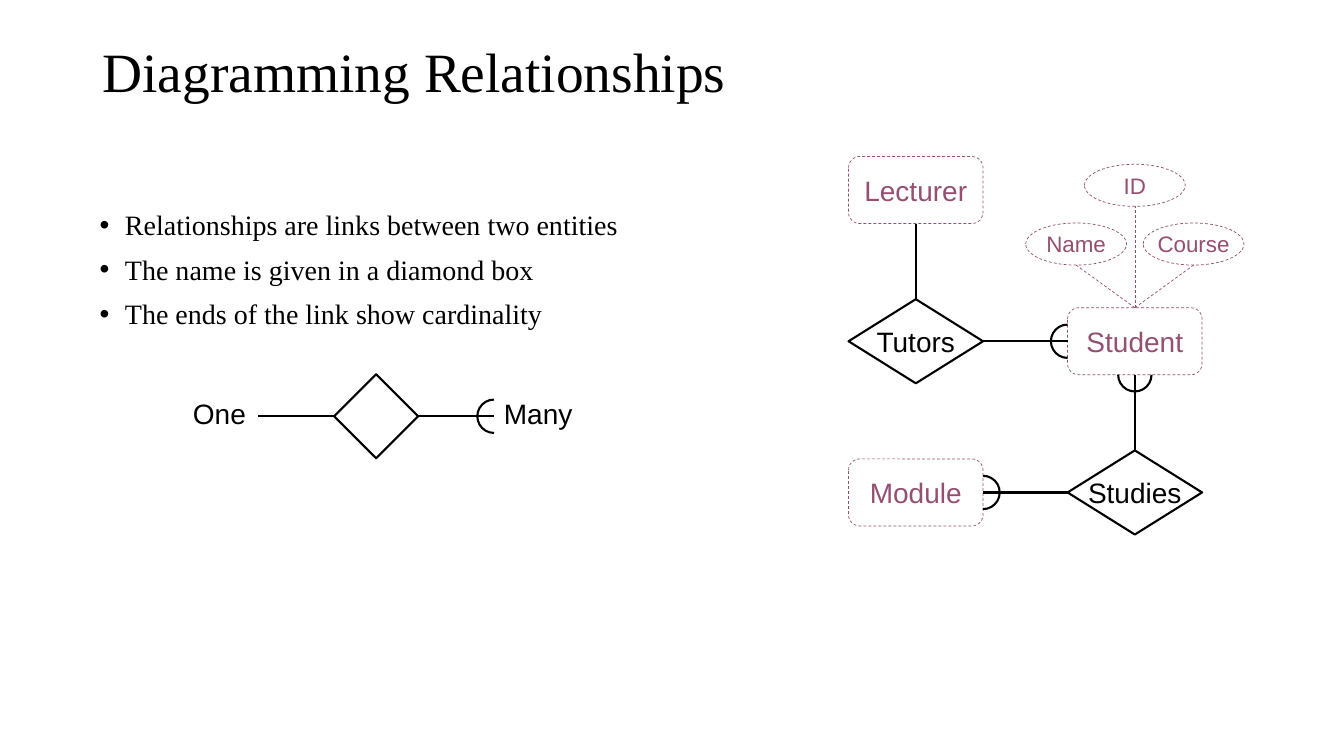
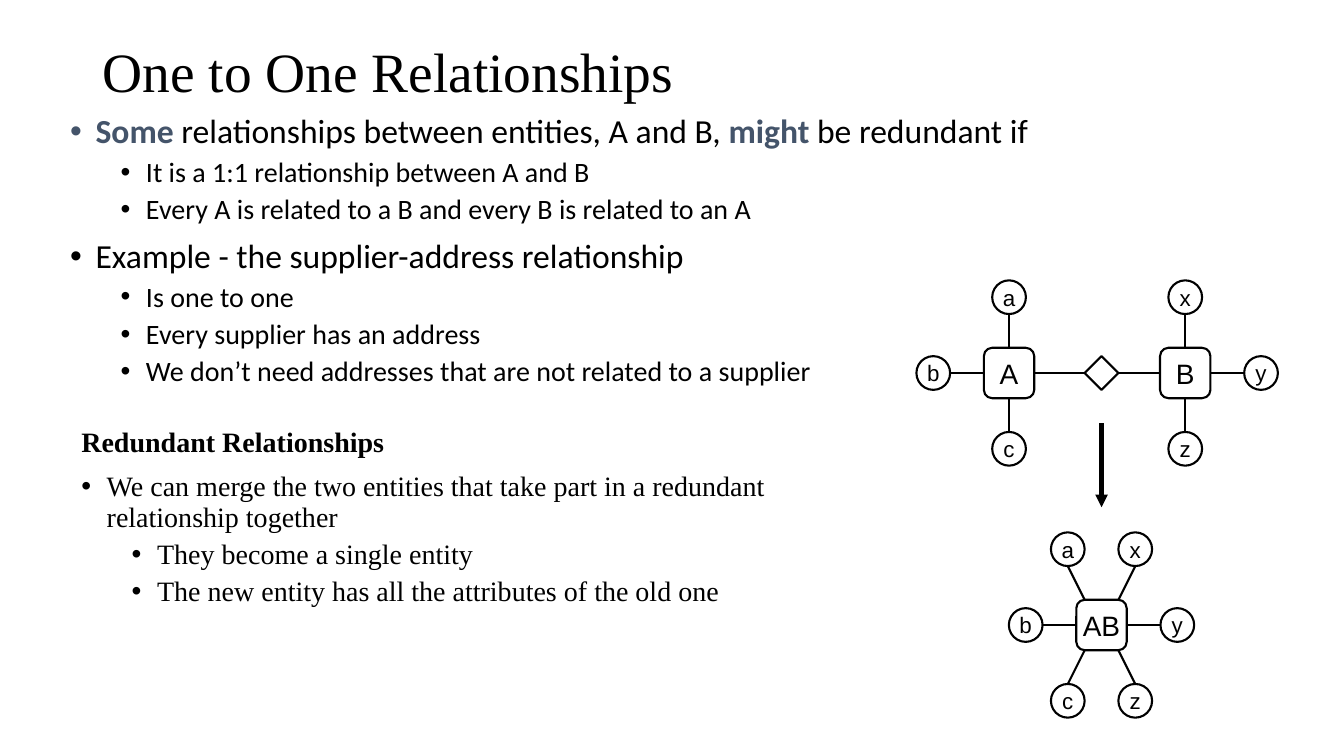
from collections import namedtuple

from lxml.etree import SubElement
from pptx import Presentation
from pptx.dml.color import RGBColor
from pptx.enum.dml import MSO_LINE
from pptx.enum.shapes import MSO_CONNECTOR, MSO_SHAPE
from pptx.enum.text import MSO_ANCHOR, MSO_AUTO_SIZE, PP_ALIGN
from pptx.oxml.ns import qn
from pptx.util import Cm, Pt

BLACK = RGBColor(0x00, 0x00, 0x00)
PLUM = RGBColor(0x95, 0x4F, 0x72)
SLATE = RGBColor(0x44, 0x54, 0x6A)

SERIF, SANS, DIAGRAM = "Times New Roman", "Calibri", "Arial"

Pen = namedtuple("Pen", "color width dash")
SOLID = Pen(BLACK, 1.5, None)
FAINT = Pen(PLUM, 0.5, MSO_LINE.DASH)
HEAVY = Pen(BLACK, 3, None)

# Start and end of each half circle, in units of 100000/60000 degree
HALF_CIRCLES = {"left": (54, 162), "right": (162, 54), "bottom": (0, 108)}
CROW_RADIUS = 0.42


class Deck:
    """Holds the style and the slide being drawn; lengths are in cm."""

    def __init__(self):
        self.prs = Presentation()
        self.prs.slide_width, self.prs.slide_height = Cm(33.87), Cm(19.05)
        self.shapes = None

    def start_slide(self, heading):
        slide = self.prs.slides.add_slide(self.prs.slide_layouts[5])
        self.shapes = slide.shapes
        title = self.shapes.title
        title.left, title.top = Cm(2.33), Cm(1.02)
        title.width, title.height = Cm(29.21), Cm(1.74)
        frame = title.text_frame
        frame.text = heading
        frame.auto_size = MSO_AUTO_SIZE.NONE
        frame.vertical_anchor = MSO_ANCHOR.MIDDLE
        paragraph = frame.paragraphs[0]
        paragraph.alignment = PP_ALIGN.LEFT
        paragraph.line_spacing = 0.9
        self.style(paragraph.runs[0], SERIF, 39.6)

    @staticmethod
    def style(run, font, size, color=BLACK, bold=False):
        run.font.name, run.font.size = font, Pt(size)
        run.font.color.rgb, run.font.bold = color, bold

    @staticmethod
    def apply_pen(line, pen):
        line.color.rgb, line.width = pen.color, Pt(pen.width)
        if pen.dash:
            line.dash_style = pen.dash

    def text(self, left, top, width, height, items, font, sizes):
        """Items are (level, text); level None has no bullet, *...* is emphasis."""
        frame = self.shapes.add_textbox(
            Cm(left), Cm(top), Cm(width), Cm(height)).text_frame
        frame.word_wrap = True
        for index, (level, content) in enumerate(items):
            paragraph = frame.paragraphs[0] if index == 0 else frame.add_paragraph()
            depth = level or 0
            if level is not None:
                self.bullet(paragraph, depth)
            paragraph.line_spacing = 0.9
            paragraph.space_before = Pt((10, 5)[depth] if index else 0)
            for position, piece in enumerate(content.split("*")):
                if piece:
                    run = paragraph.add_run()
                    run.text = piece
                    strong = position % 2 == 1
                    self.style(run, font, sizes[depth],
                               SLATE if strong else BLACK, strong or level is None)

    @staticmethod
    def bullet(paragraph, level):
        paragraph.level = level
        props = paragraph._p.get_or_add_pPr()
        props.set("marL", str(Cm(0.64 + 1.27 * level)))
        props.set("indent", str(Cm(-0.64)))
        SubElement(props, qn("a:buFont")).set("typeface", "Arial")
        SubElement(props, qn("a:buChar")).set("char", "•")

    def label(self, left, top, width, content, align):
        frame = self.shapes.add_textbox(
            Cm(left), Cm(top), Cm(width), Cm(1.09)).text_frame
        frame.text = content
        frame.word_wrap = False
        frame.paragraphs[0].alignment = align
        self.style(frame.paragraphs[0].runs[0], DIAGRAM, 20)

    def node(self, kind, x, y, width, height, content="", size=20, pen=SOLID):
        """Outlined shape centred on x, y."""
        shape = self.shapes.add_shape(
            kind, Cm(x - width / 2), Cm(y - height / 2), Cm(width), Cm(height))
        shape.shadow.inherit = False
        shape.fill.background()
        self.apply_pen(shape.line, pen)
        if content:
            frame = shape.text_frame
            frame.text = content
            frame.word_wrap = False
            frame.vertical_anchor = MSO_ANCHOR.MIDDLE
            frame.paragraphs[0].alignment = PP_ALIGN.CENTER
            self.style(frame.paragraphs[0].runs[0], DIAGRAM, size, pen.color)
        return shape

    def crow_end(self, x, y, side):
        """Half circle that marks the 'many' end of a link."""
        arc = self.node(MSO_SHAPE.ARC, x, y, 2 * CROW_RADIUS, 2 * CROW_RADIUS)
        arc.adjustments[0], arc.adjustments[1] = HALF_CIRCLES[side]

    def link(self, start, end, pen=SOLID, arrow=False):
        connector = self.shapes.add_connector(
            MSO_CONNECTOR.STRAIGHT, *(Cm(value) for value in (*start, *end)))
        self.apply_pen(connector.line, pen)
        props = connector._element.spPr
        if arrow:
            SubElement(props.find(qn("a:ln")), qn("a:tailEnd")).set("type", "triangle")
        SubElement(props, qn("a:effectLst"))

    def entity_with_attributes(self, x, y, name, attributes):
        """Square entity with round attributes at the given offsets."""
        half, radius = 0.635, 0.425
        self.node(MSO_SHAPE.ROUNDED_RECTANGLE, x, y, 2 * half, 2 * half, name)
        for letter, (dx, dy) in attributes.items():
            self.node(MSO_SHAPE.OVAL, x + dx, y + dy, 2 * radius, 2 * radius, letter, 16)
            if dy == 0:
                side = 1 if dx > 0 else -1
                self.link((x + dx - side * radius, y), (x + side * half, y))
            else:
                side = 1 if dy > 0 else -1
                self.link((x + dx, y + dy - side * radius), (x + dx / 2, y + side * half))


def diagramming_slide(deck):
    deck.start_slide("Diagramming Relationships")
    deck.text(2.26, 5.21, 15.34, 7.19, [
        (0, "Relationships are links between two entities"),
        (0, "The name is given in a diamond box"),
        (0, "The ends of the link show cardinality"),
    ], SERIF, (20, 20))

    # Entities and relationships on a grid of two columns and three rows
    left, right = 23.08, 28.6
    top, middle, bottom = (4.79 + 3.81 * row for row in range(3))
    width, entity_height, diamond_height = 3.39, 1.69, 2.12
    for name, x, y in (("Student", right, middle), ("Lecturer", left, top),
                       ("Module", left, bottom)):
        deck.node(MSO_SHAPE.ROUNDED_RECTANGLE, x, y, width, entity_height, name, pen=FAINT)
    for name, x, y in (("Tutors", left, middle), ("Studies", right, bottom)):
        deck.node(MSO_SHAPE.DIAMOND, x, y, width, diamond_height, name)

    # Links and their 'many' ends
    inner_left, inner_right = left + width / 2, right - width / 2
    student_top, student_bottom = middle - entity_height / 2, middle + entity_height / 2
    deck.link((left, top + entity_height / 2), (left, middle - diamond_height / 2))
    deck.link((right, student_bottom), (right, bottom - diamond_height / 2))
    for y in (middle, bottom):
        deck.link((inner_left, y), (inner_right, y))
    deck.crow_end(inner_left, bottom, "right")
    deck.crow_end(inner_right, middle, "left")
    deck.crow_end(right, student_bottom, "bottom")

    # Attributes of the student
    for name, dx, y in (("ID", 0, 4.67), ("Course", 1.48, 6.15), ("Name", -1.48, 6.15)):
        deck.node(MSO_SHAPE.OVAL, right + dx, y, 2.54, 1.06, name, 16, FAINT)
        deck.link((right, student_top), (right + dx, y + 0.53), FAINT)

    # Key to the notation
    key_x, key_y, key_reach = 9.48, 10.49, 2.97
    key_half = diamond_height / 2
    deck.node(MSO_SHAPE.DIAMOND, key_x, key_y, diamond_height, diamond_height)
    for side in (-1, 1):
        deck.link((key_x + side * key_half, key_y), (key_x + side * key_reach, key_y))
    deck.crow_end(key_x + key_reach, key_y, "left")
    deck.label(12.45, 9.86, 2.24, "Many", PP_ALIGN.LEFT)
    deck.label(4.6, 9.86, 1.85, "One", PP_ALIGN.RIGHT)


def one_to_one_slide(deck):
    deck.start_slide("One to One Relationships")
    deck.text(1.52, 2.77, 27.74, 7.77, [
        (0, "*Some* relationships between entities, A and B, *might* be redundant if"),
        (1, "It is a 1:1 relationship between A and B"),
        (1, "Every A is related to a B and every B is related to an A"),
        (0, "Example - the supplier-address relationship"),
        (1, "Is one to one"),
        (1, "Every supplier has an address"),
        (1, "We don’t need addresses that are not related to a supplier"),
    ], SANS, (24, 20))
    deck.text(1.8, 10.67, 17.88, 6.2, [
        (None, "Redundant Relationships"),
        (0, "We can merge the two entities that take part in a redundant "
            "relationship together"),
        (1, "They become a single entity"),
        (1, "The new entity has all the attributes of the old one"),
    ], SERIF, (20, 20))

    # Two entities joined by a one to one relationship
    a_x, centre, b_x, pair_y = 25.43, 27.76, 29.87, 9.4
    reach, spread = 1.91, 0.85
    deck.entity_with_attributes(
        a_x, pair_y, "A", {"a": (0, -reach), "b": (-reach, 0), "c": (0, reach)})
    deck.entity_with_attributes(
        b_x, pair_y, "B", {"x": (0, -reach), "y": (reach, 0), "z": (0, reach)})
    deck.node(MSO_SHAPE.DIAMOND, centre, pair_y, 0.85, 0.85)
    deck.link((a_x + 0.64, pair_y), (centre - 0.43, pair_y))
    deck.link((centre + 0.43, pair_y), (b_x - 0.64, pair_y))

    # Merge into a single entity
    deck.link((centre, 10.67), (centre, 12.78), HEAVY, arrow=True)
    deck.entity_with_attributes(centre, 15.75, "AB", {
        "a": (-spread, -reach), "b": (-reach, 0), "c": (-spread, reach),
        "x": (spread, -reach), "y": (reach, 0), "z": (spread, reach)})


def main():
    deck = Deck()
    diagramming_slide(deck)
    one_to_one_slide(deck)
    deck.prs.save("out.pptx")


if __name__ == "__main__":
    main()
